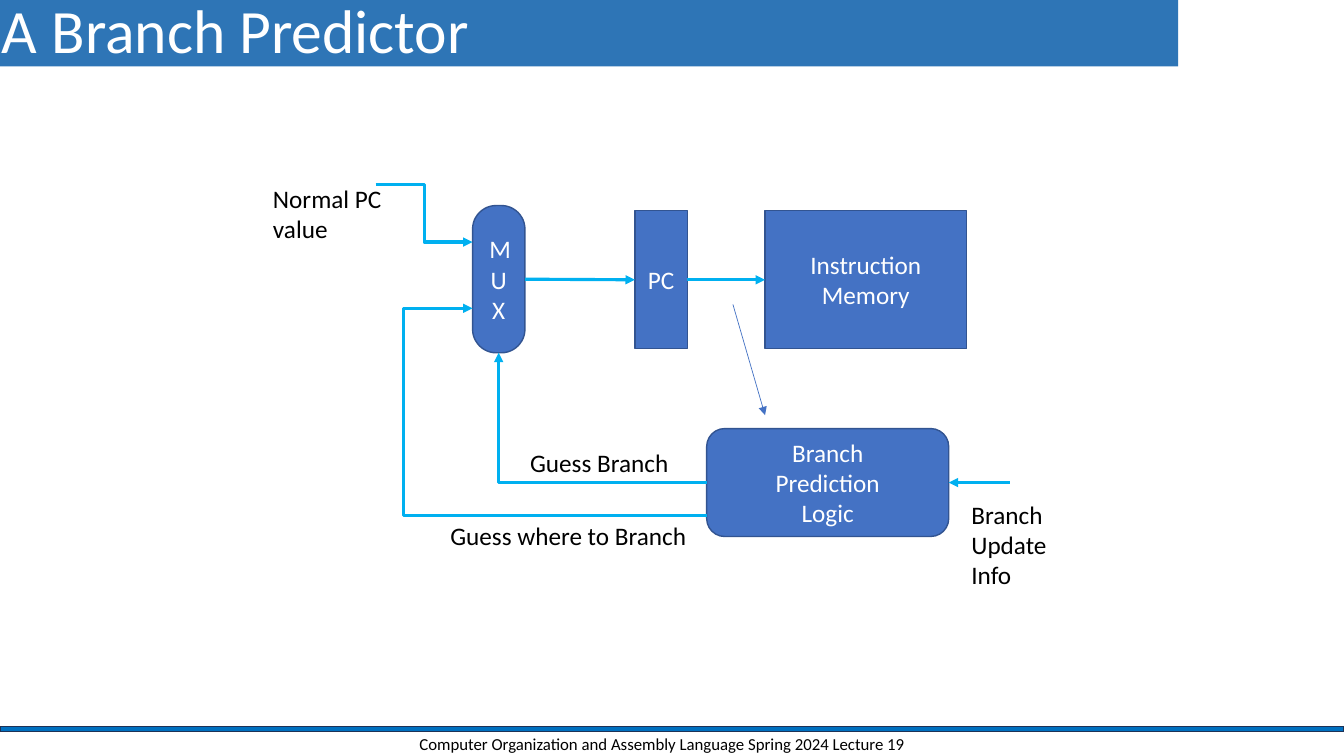
from dataclasses import dataclass

from pptx import Presentation
from pptx import util as u
from pptx.dml.color import RGBColor
from pptx.enum import shapes, text
from pptx.oxml.ns import qn
from lxml import etree

WHITE = RGBColor(0xFF, 0xFF, 0xFF)
BLACK = RGBColor(0, 0, 0)
TITLE_BLUE = RGBColor(0x2E, 0x75, 0xB6)
BAR_BLUE = RGBColor(0x00, 0x70, 0xC0)
BAR_EDGE = RGBColor(0x1E, 0x32, 0x56)
BLOCK_BLUE = RGBColor(0x44, 0x72, 0xC4)
BLOCK_EDGE = RGBColor(0x32, 0x54, 0x91)
SIGNAL_BLUE = RGBColor(0x00, 0xB0, 0xF0)
FONT = "Calibri"
RECT = shapes.MSO_SHAPE.RECTANGLE
ROUNDED = shapes.MSO_SHAPE.ROUNDED_RECTANGLE
CENTER = text.PP_ALIGN.CENTER
LEFT = text.PP_ALIGN.LEFT
MIDDLE = text.MSO_ANCHOR.MIDDLE
TOP = text.MSO_ANCHOR.TOP
SLIDE_WIDTH = 33.87


@dataclass
class Block:
    """A box of the diagram, in centimetres."""
    wording: str
    left: float
    top: float
    width: float
    height: float
    outline: shapes.MSO_SHAPE = RECT
    rounding: float | None = None
    fill: RGBColor = BLOCK_BLUE
    edge: RGBColor = BLOCK_EDGE

    @property
    def right(self) -> float:
        return self.left + self.width

    @property
    def middle(self) -> float:
        return self.top + self.height / 2


@dataclass
class Label:
    wording: str
    left: float
    top: float
    width: float
    height: float
    size: int = 18
    align: text.PP_ALIGN = LEFT
    anchor: text.MSO_ANCHOR = TOP


@dataclass
class Arrow:
    """An arrow with its ends in centimetres; bend is a preset connector."""
    start: tuple[float, float]
    end: tuple[float, float]
    bend: str | None = None
    bend_at: int | None = None
    color: RGBColor = SIGNAL_BLUE
    weight: float = 2.25


def write(frame, wording: str, size: int, color: RGBColor, align, anchor) -> None:
    frame.text = wording
    frame.word_wrap = True
    frame.vertical_anchor = anchor
    for paragraph in frame.paragraphs:
        paragraph.alignment = align
        paragraph.font.name = FONT
        paragraph.font.size = u.Pt(size)
        paragraph.font.color.rgb = color


def add_block(slide, block: Block) -> None:
    shape = slide.shapes.add_shape(
        block.outline, u.Cm(block.left), u.Cm(block.top),
        u.Cm(block.width), u.Cm(block.height))
    shape.shadow.inherit = False
    shape.fill.solid()
    shape.fill.fore_color.rgb = block.fill
    shape.line.color.rgb = block.edge
    shape.line.width = u.Pt(1)
    if block.rounding is not None:
        shape.adjustments[0] = block.rounding
    if block.wording:
        write(shape.text_frame, block.wording, 18, WHITE, CENTER, MIDDLE)


def add_label(slide, label: Label) -> None:
    box = slide.shapes.add_textbox(
        u.Cm(label.left), u.Cm(label.top), u.Cm(label.width), u.Cm(label.height))
    write(box.text_frame, label.wording, label.size, BLACK, label.align, label.anchor)


def add_arrow(slide, arrow: Arrow) -> None:
    kind = shapes.MSO_CONNECTOR.ELBOW if arrow.bend else shapes.MSO_CONNECTOR.STRAIGHT
    ends = [u.Cm(length) for length in (*arrow.start, *arrow.end)]
    connector = slide.shapes.add_connector(kind, *ends)
    connector.line.color.rgb = arrow.color
    connector.line.width = u.Pt(arrow.weight)
    properties = connector._element.spPr
    etree.SubElement(properties.find(qn("a:ln")), qn("a:tailEnd"), type="triangle")
    etree.SubElement(properties, qn("a:effectLst"))
    if arrow.bend:
        geometry = properties.find(qn("a:prstGeom"))
        geometry.set("prst", arrow.bend)
        if arrow.bend_at is not None:
            etree.SubElement(geometry.find(qn("a:avLst")), qn("a:gd"),
                             name="adj1", fmla=f"val {arrow.bend_at}")


def format_title(title) -> None:
    title.left, title.top = u.Cm(0), u.Cm(-0.23)
    title.width, title.height = u.Cm(29.69), u.Cm(1.9)
    title.fill.solid()
    title.fill.fore_color.rgb = TITLE_BLUE
    frame = title.text_frame
    frame.text = "A\tBranch Predictor"
    frame.margin_left = frame.margin_right = frame.margin_bottom = 0
    frame.margin_top = u.Cm(0.03)
    paragraph = frame.paragraphs[0]
    indents = paragraph._p.get_or_add_pPr()
    indents.set("marL", str(u.Cm(0.03)))
    indents.set("indent", "0")
    tabs = etree.SubElement(indents, qn("a:tabLst"))
    etree.SubElement(tabs, qn("a:tab"), pos=str(u.Cm(1.27)), algn="l")
    write_title_font(paragraph)
    frame.vertical_anchor = MIDDLE
    frame.word_wrap = True
    frame.auto_size = text.MSO_AUTO_SIZE.SHAPE_TO_FIT_TEXT


def write_title_font(paragraph) -> None:
    paragraph.alignment = LEFT
    paragraph.font.name = FONT
    paragraph.font.size = u.Pt(44)
    paragraph.font.color.rgb = WHITE


def main() -> None:
    presentation = Presentation()
    presentation.slide_width = u.Cm(SLIDE_WIDTH)
    presentation.slide_height = u.Cm(19.05)
    slide = presentation.slides.add_slide(presentation.slide_layouts[5])
    format_title(slide.shapes.title)

    footer_bar = Block("", 0, 18.31, SLIDE_WIDTH, 0.13, fill=BAR_BLUE, edge=BAR_EDGE)
    mux = Block("MUX", 11.91, 5.18, 1.32, 3.71, ROUNDED, 0.45)
    counter = Block("PC", 16, 5.31, 1.32, 3.48)
    memory = Block("Instruction\nMemory", 19.28, 5.31, 5.08, 3.48)
    predictor = Block("Branch\nPrediction\nLogic", 17.81, 10.8, 6.1, 2.72, ROUNDED)
    for block in (footer_bar, mux, counter, memory, predictor):
        add_block(slide, block)

    mux_bottom = (mux.left + mux.width / 2, mux.top + mux.height)
    arrows = [
        Arrow((predictor.left, predictor.middle), mux_bottom, "bentConnector2"),
        Arrow((9.47, 4.65), (mux.left, 6.1), "bentConnector3"),
        Arrow((predictor.left, 13), (mux.left, 7.77), "bentConnector3", 129500),
        Arrow((counter.right, counter.middle), (memory.left, memory.middle)),
        Arrow((25.45, predictor.middle), (predictor.right, predictor.middle)),
        Arrow((mux.right, mux.middle), (counter.left, counter.middle)),
        Arrow((18.47, 7.67), (memory.left, 10.46), color=BLOCK_BLUE, weight=0.5),
    ]
    for arrow in arrows:
        add_arrow(slide, arrow)

    labels = [
        Label("Guess Branch", 13.11, 11.15, 4.34, 1.09),
        Label("Normal PC\nvalue", 6.63, 4.5, 3.53, 1.9),
        Label("Guess where to Branch", 11.1, 12.98, 7.04, 1.09),
        Label("Branch\nUpdate\nInfo", 24.23, 12.45, 2.62, 2.72),
        Label("Computer Organization and Assembly Language Spring 2024 Lecture 19",
              9.96, 18.39, 13.46, 0.71, 12, CENTER, MIDDLE),
    ]
    for label in labels:
        add_label(slide, label)

    presentation.save("out.pptx")


if __name__ == "__main__":
    main()
